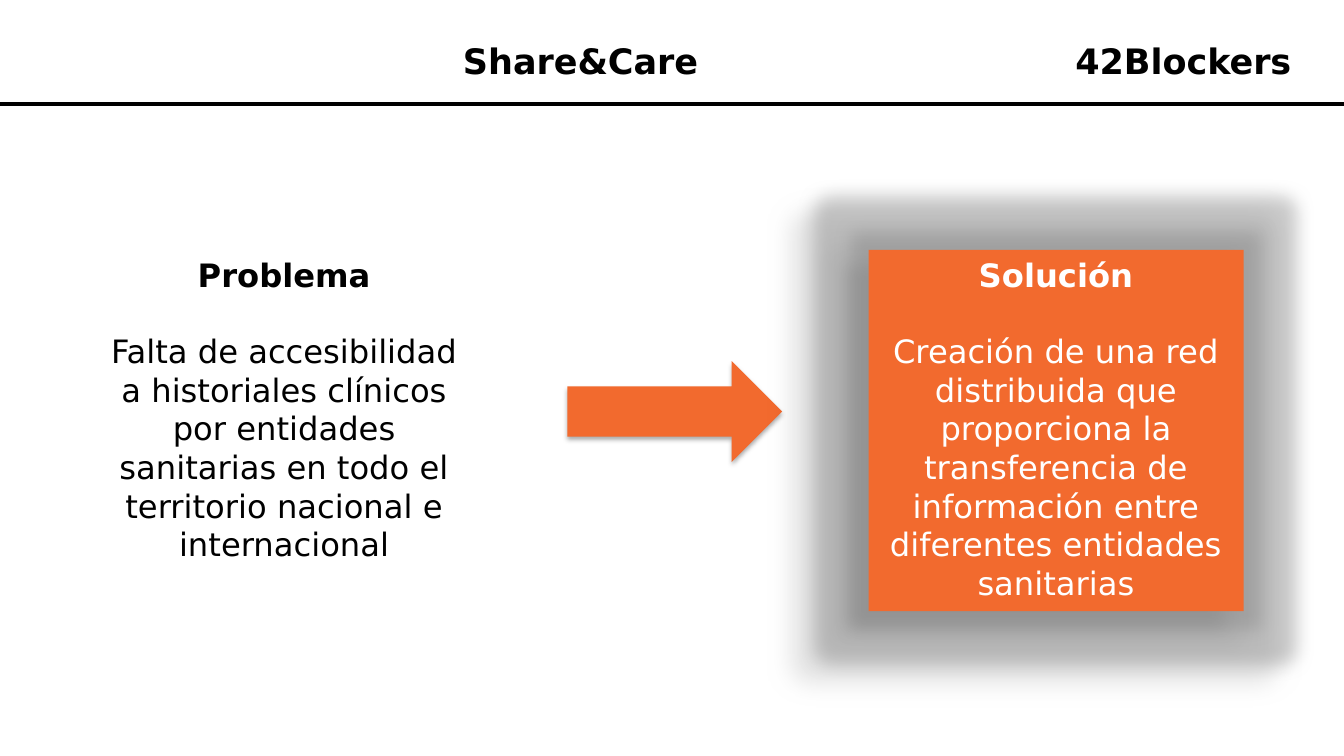
from lxml.etree import SubElement
from pptx import Presentation
from pptx.dml.color import RGBColor
from pptx.enum.shapes import MSO_CONNECTOR, MSO_SHAPE
from pptx.enum.text import MSO_ANCHOR, PP_ALIGN
from pptx.oxml import parse_xml
from pptx.oxml.ns import nsdecls, qn
from pptx.util import Cm, Pt

BLACK = RGBColor(0x00, 0x00, 0x00)
WHITE = RGBColor(0xFF, 0xFF, 0xFF)
ORANGE = RGBColor(0xF2, 0x6A, 0x2E)
GRAY = RGBColor(0x80, 0x80, 0x80)
FACE = "DejaVu Sans"
WIDE, HIGH = 33.87, 19.05


def style(para, size, color, bold, align):
    para.alignment = align
    for run in para.runs:
        font = run.font
        font.name, font.size, font.bold = FACE, Pt(size), bold
        font.color.rgb = color


def shade(shape, alpha, blur, dist, angle, glow=0):
    halo = ""
    if glow:
        halo = (f'<a:glow rad="{Pt(glow)}"><a:srgbClr val="{GRAY}">'
                '<a:alpha val="40000"/></a:srgbClr></a:glow>')
    effect = parse_xml(
        f'<a:effectLst {nsdecls("a")}>{halo}'
        f'<a:outerShdw blurRad="{Pt(blur)}" dist="{Pt(dist)}" '
        f'dir="{angle * 60000}" algn="ctr" rotWithShape="0">'
        f'<a:srgbClr val="{BLACK}"><a:alpha val="{alpha * 1000}"/>'
        '</a:srgbClr></a:outerShdw></a:effectLst>')
    props = shape.fill._xPr
    props.replace(props.find(qn("a:effectLst")), effect)


def solid(slide, kind, box, color):
    shape = slide.shapes.add_shape(kind, *map(Cm, box))
    shape.shadow.inherit = False
    shape.fill.solid()
    shape.fill.fore_color.rgb = color
    shape.line.fill.background()
    return shape


def label(shape, box, text, align):
    shape.left, shape.top, shape.width, shape.height = map(Cm, box)
    frame = shape.text_frame
    frame.text = text
    frame.word_wrap = True
    frame.vertical_anchor = MSO_ANCHOR.TOP
    style(frame.paragraphs[0], 25, BLACK, True, align)


def header(slide, box):
    left, top, width, height = box
    label(slide.shapes.title, (left + 1.5, top + 0.86, 26.26, 1.32),
          "Share&Care", PP_ALIGN.CENTER)
    team = slide.shapes.add_textbox(0, 0, 0, 0)
    label(team, (left + 26.85, top + 0.86, 6.3, 1.32),
          "42Blockers", PP_ALIGN.LEFT)
    for rise in (0.05, 0):
        level = Cm(top + height - rise)
        rule = slide.shapes.add_connector(
            MSO_CONNECTOR.STRAIGHT, Cm(left), level, Cm(left + width), level)
        rule.line.color.rgb = BLACK
        rule.line.width = Pt(1.5)
        SubElement(rule.line._get_or_add_ln().getparent(), qn("a:effectLst"))


def card(slide, box, fill, color, head, body):
    shape = solid(slide, MSO_SHAPE.RECTANGLE, box, fill)
    frame = shape.text_frame
    frame.word_wrap = True
    frame.vertical_anchor = MSO_ANCHOR.TOP
    first, second = frame.paragraphs[0], frame.add_paragraph()
    first.text, second.text = head, body
    first.space_after = Pt(27)
    style(first, 23, color, True, PP_ALIGN.CENTER)
    style(second, 23, color, False, PP_ALIGN.CENTER)
    return shape


def content(slide, box):
    left, top, width, height = box
    arrow = solid(slide, MSO_SHAPE.RIGHT_ARROW,
                  (left + 11.86, top + 2.8, 5.41, 2.54), ORANGE)
    shade(arrow, 32, 3.5, 2.2, 90)
    card(slide, (left, top, 9.45, 8.13), WHITE, BLACK, "Problema",
         "Falta de accesibilidad a historiales clínicos por entidades "
         "sanitarias en todo el territorio nacional e internacional")
    answer = card(slide, (left + width - 9.45, top, 9.45, height),
                  ORANGE, WHITE, "Solución",
                  "Creación de una red distribuida que proporciona la "
                  "transferencia de información entre diferentes "
                  "entidades sanitarias")
    shade(answer, 28, 11.8, 19.7, 141, 26)


def main():
    deck = Presentation()
    deck.slide_width, deck.slide_height = Cm(WIDE), Cm(HIGH)
    slide = deck.slides.add_slide(deck.slide_layouts[5])
    header(slide, (0, 0, WIDE, 2.64))
    content(slide, (2.44, 6.3, 28.9, 9.1))
    deck.save("out.pptx")


if __name__ == "__main__":
    main()
